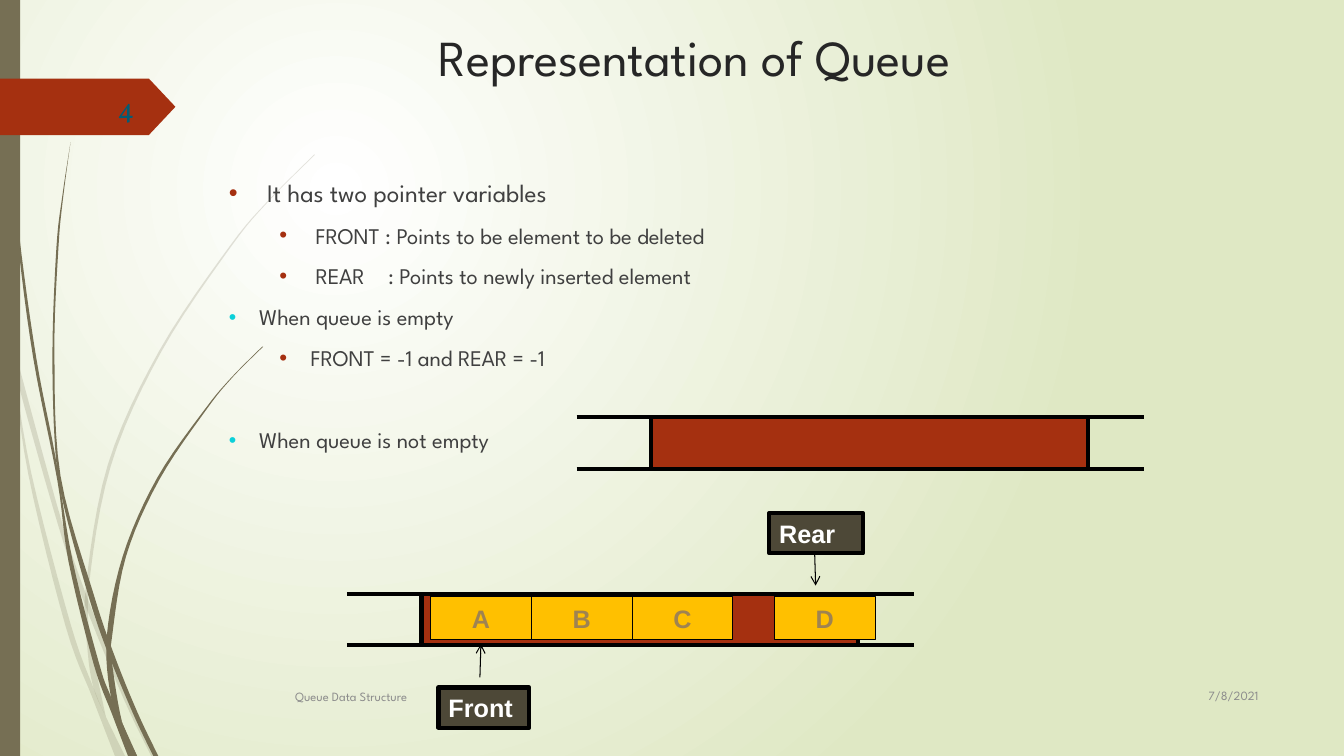
"""Build a slide that explains how a queue is represented."""
from lxml.etree import SubElement
from pptx import Presentation
from pptx.dml.color import RGBColor
from pptx.enum.shapes import MSO_CONNECTOR, MSO_SHAPE as SHAPE
from pptx.enum.text import MSO_ANCHOR as ANCHOR, MSO_AUTO_SIZE as AUTOSIZE, PP_ALIGN as ALIGN
from pptx.oxml.ns import qn
from pptx.util import Inches, Pt

rgb = RGBColor.from_string
SANS = "League Spartan"
OLIVE, RUST, BLACK = "766F54", "A53010", "000000"


def paint(shape, fill, line=None, width=0):
    shape.shadow.inherit = False
    shape.fill.solid()
    shape.fill.fore_color.rgb = rgb(fill)
    if line:
        shape.line.color.rgb = rgb(line)
        shape.line.width = Pt(width)
    else:
        shape.line.fill.background()


def smooth(points, steps=6):
    padded = [points[0], *points, points[-1]]
    curve = []
    for a, b, c, d in zip(padded, padded[1:], padded[2:], padded[3:]):
        for t in (step / steps for step in range(steps)):
            curve.append(tuple(
                Inches(0.5 * (2 * q + (r - p) * t + (2 * p - 5 * q + 4 * r - s) * t ** 2
                              + (3 * q - p - 3 * r + s) * t ** 3))
                for p, q, r, s in zip(a, b, c, d)))
    return curve + [tuple(Inches(v) for v in points[-1])]


prs = Presentation()
prs.slide_width, prs.slide_height = Inches(13.33), Inches(7.5)
slide = prs.slides.add_slide(prs.slide_layouts[1])
shapes = slide.shapes

backdrop = slide.background.fill
backdrop.gradient()
for stop, position, color in zip(backdrop.gradient_stops, (0, 1), ("FFFFFF", "DFE8C4")):
    stop.position = position
    stop.color.rgb = rgb(color)
gradient = slide.element.find(".//" + qn("a:gradFill"))
gradient.remove(gradient.find(qn("a:lin")))
glow = SubElement(gradient, qn("a:path"), path="circle")
SubElement(glow, qn("a:fillToRect"), l="50000", t="50000", r="100000", b="100000")

# opacity, edge going down, edge coming back up
grass = [
    (20, [(0, 2.82), (0.11, 3.5), (0.28, 4.7), (0.65, 6.21), (0.92, 6.93), (1.14, 7.5)],
     [(1.24, 7.5), (1.05, 7.11), (0.93, 6.83), (0.7, 6.19), (0.31, 4.69), (0.11, 3.5), (0, 2.99)]),
    (20, [(0.14, 3.45), (0.17, 3.76), (0.58, 5.22), (0.84, 5.99), (1.23, 6.94), (1.5, 7.5)],
     [(1.55, 7.5), (1.27, 6.92), (0.92, 6.07), (0.62, 5.2), (0.14, 3.45)]),
    (20, [(3.12, 1.53), (2.68, 1.97), (2.28, 2.44), (1.58, 3.48), (1.07, 4.61), (0.85, 5.84),
          (0.87, 6.46), (0.93, 6.83), (1.05, 7.11)],
     [(0.91, 6.46), (0.88, 5.84), (1.1, 4.62), (1.6, 3.49), (2.29, 2.45), (2.68, 1.98), (3.12, 1.54)]),
    (100, [(0.03, 0), (0.07, 1.1), (0.17, 2.33), (0.33, 3.55), (0.57, 4.77), (0.68, 5.57),
           (0.93, 6.59), (1.11, 7.08), (1.27, 7.5)],
     [(1.36, 7.5), (1.1, 6.91), (0.98, 6.57), (0.72, 5.56), (0.55, 4.53), (0.36, 3.55),
      (0.19, 2.32), (0.08, 1.09), (0.04, 0)]),
    (100, [(0.7, 1.41), (0.62, 1.93), (0.56, 2.45), (0.52, 3.49), (0.55, 4.49), (0.64, 5.05),
           (0.88, 5.92), (1.06, 6.45), (1.32, 7.08), (1.52, 7.5)],
     [(1.57, 7.5), (1.36, 7.06), (1.13, 6.49), (0.93, 5.9), (0.6, 4.72), (0.54, 3.49),
      (0.58, 2.45), (0.63, 1.93), (0.7, 1.41)]),
    (100, [(2.6, 3.44), (2.31, 3.73), (2.04, 4.05), (1.56, 4.74), (1.22, 5.51), (1.06, 6.31),
           (1.1, 6.91), (1.22, 7.19), (1.33, 7.5)],
     [(1.36, 7.5), (1.21, 7.16), (1.11, 6.56), (1.11, 6.33), (1.25, 5.52), (1.58, 4.76),
      (2.05, 4.06), (2.31, 3.74), (2.61, 3.44)]),
]
for opacity, down, up in grass:
    outline = smooth(down) + smooth(up)
    builder = shapes.build_freeform(*outline[0])
    builder.add_line_segments(outline[1:], close=True)
    blade = builder.convert_to_shape()
    paint(blade, OLIVE)
    if opacity < 100:
        tint = blade.fill._xPr.find(".//" + qn("a:srgbClr"))
        SubElement(tint, qn("a:alpha"), val=str(opacity * 1000))

side_bar = shapes.add_shape(SHAPE.RECTANGLE, 0, 0, Inches(0.2), Inches(7.5))
paint(side_bar, OLIVE)
page_tag = shapes.add_shape(SHAPE.PENTAGON, 0, Inches(0.78), Inches(1.74), Inches(0.56))
page_tag.adjustments[0] = 0.47
paint(page_tag, RUST)

title, body = shapes.title, slide.placeholders[1]
title.left, title.top, title.width, title.height = map(Inches, (2.39, 0.21, 9, 1.25))
title.text_frame.text = "Representation of Queue"
title.text_frame.vertical_anchor = ANCHOR.TOP
heading = title.text_frame.paragraphs[0]
heading.alignment = ALIGN.CENTER
heading.font.name, heading.font.size = SANS, Pt(36)
heading.font.color.rgb = rgb("262626")

body.left, body.top, body.width, body.height = map(Inches, (2.17, 1.71, 9, 4.8))
points = [
    ("It has two pointer variables", 0, 18, 0.38, 0.38, 10, RUST),
    ("FRONT : Points to be element to be deleted", 1, 16, 0.86, 0.36, 10, RUST),
    ("REAR\t: Points to newly inserted element", 1, 16, 0.86, 0.36, 10, RUST),
    ("When queue is empty", 1, 16, 0.3, 0.3, 10, "0BD0D9"),
    ("FRONT = -1 and REAR = -1", 1, 16, 0.81, 0.31, 10, RUST),
    ("When queue is not empty", 1, 16, 0.3, 0.3, 39.5, "0BD0D9"),
]
body.text_frame.text = "\n".join(point[0] for point in points)
body.text_frame.auto_size = AUTOSIZE.NONE
for item, (text, level, size, margin, hang, gap, bullet) in zip(body.text_frame.paragraphs, points):
    item.level = level
    item.space_before = Pt(gap)
    item.font.name, item.font.size = SANS, Pt(size)
    item.font.color.rgb = rgb("404040")
    layout = item._p.get_or_add_pPr()
    layout.set("marL", str(Inches(margin)))
    layout.set("indent", str(-Inches(hang)))
    marks = [SubElement(layout, qn("a:" + tag)) for tag in ("buClr", "buSzPct", "buFont", "buChar", "tabLst")]
    SubElement(marks[0], qn("a:srgbClr"), val=bullet)
    marks[1].set("val", "100000" if bullet == RUST else "95000")
    marks[2].set("typeface", "Arial")
    marks[3].set("char", "•")
    SubElement(marks[4], qn("a:tab"), pos=str(Inches(1.58)), algn="l")
    layout.append(layout.find(qn("a:defRPr")))

lines = [(4.76, 6.72, 4.77, 6.39, 0.75), (8.08, 5.49, 8.09, 5.81, 0.75)]
for left, top in ((4.18, 5.89), (6.46, 4.14)):
    queue = shapes.add_shape(SHAPE.RECTANGLE, *map(Inches, (left, top, 4.33, 0.51)))
    paint(queue, RUST, BLACK, 3)
    lines += [(left + start, y, left + start + 0.91, y, 3)
              for y in (top, top + 0.51) for start in (-0.74, 3.98)]

for x1, y1, x2, y2, width in lines:
    rule = shapes.add_connector(MSO_CONNECTOR.STRAIGHT, *map(Inches, (x1, y1, x2, y2)))
    rule.line.color.rgb = rgb(BLACK)
    rule.line.width = Pt(width)
    if width < 3:
        SubElement(rule.line._get_or_add_ln(), qn("a:tailEnd"), type="arrow")
    SubElement(rule._element.spPr, qn("a:effectLst"))

pointer = ("4D4837", 3, "FFFFFF", ALIGN.LEFT)
cell = ("FFC000", 0.75, "9F8351", ALIGN.CENTER)
labels = [("Rear", 7.63, 5.09, 0.93, 0.4, pointer), ("Front", 4.35, 6.82, 0.9, 0.4, pointer)]
labels += [(letter, left, 5.92, 1, 0.42, cell)
           for letter, left in zip("ABCD", (4.27, 5.27, 6.27, 7.68))]
for text, left, top, width, height, (fill, border, ink, align) in labels:
    label = shapes.add_shape(SHAPE.RECTANGLE, *map(Inches, (left, top, width, height)))
    paint(label, fill, BLACK, border)
    label.text_frame.text = text
    caption = label.text_frame.paragraphs[0]
    caption.alignment = align
    caption.font.name, caption.font.size, caption.font.bold = "Arial", Pt(18), True
    caption.font.color.rgb = rgb(ink)

for text, left, top, width, size, font, ink, align in (
        ("7/8/2021", 11.33, 6.7, 1.25, 9, SANS, "8C8C8C", ALIGN.RIGHT),
        ("4", 0.58, 0.86, 0.85, 20, "Vollkorn", "045C75", ALIGN.RIGHT),
        ("Queue Data Structure", 2.83, 6.71, 8.33, 9, SANS, "8C8C8C", ALIGN.LEFT)):
    note = shapes.add_textbox(*map(Inches, (left, top, width, 0.4))).text_frame
    note.word_wrap = True
    note.vertical_anchor = ANCHOR.MIDDLE
    note.text = text
    line = note.paragraphs[0]
    line.alignment = align
    line.font.name, line.font.size = font, Pt(size)
    line.font.color.rgb = rgb(ink)

prs.save("out.pptx")
